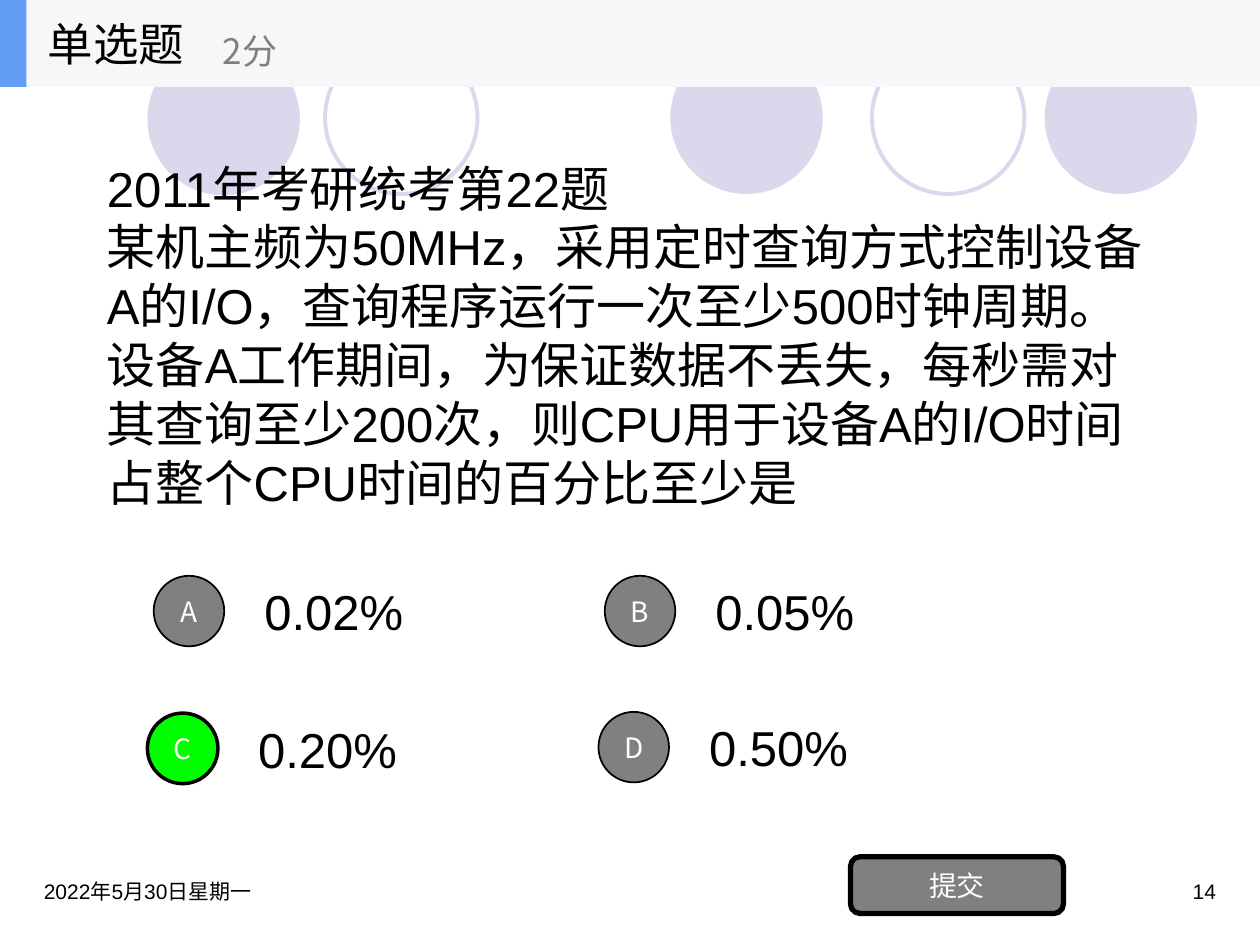
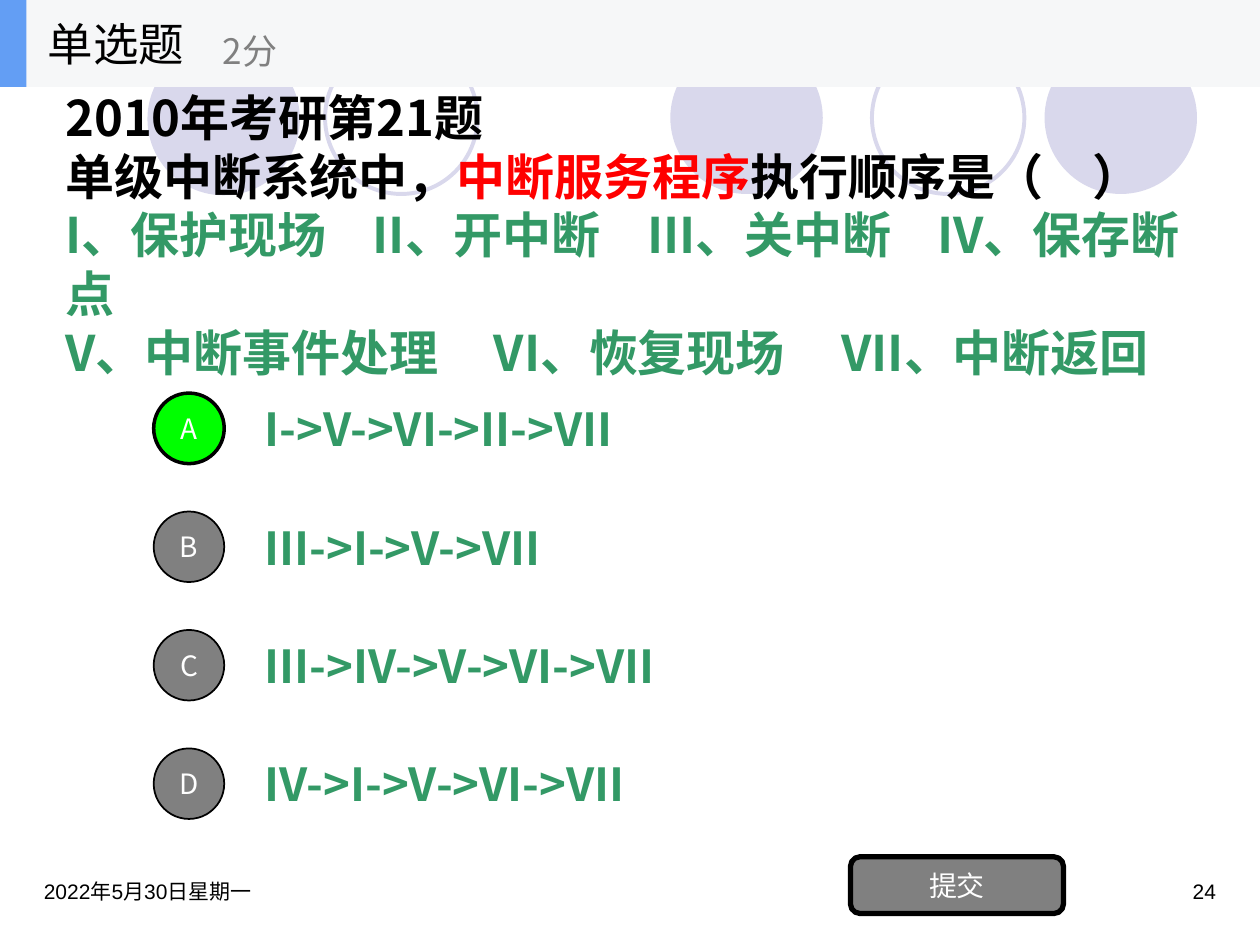
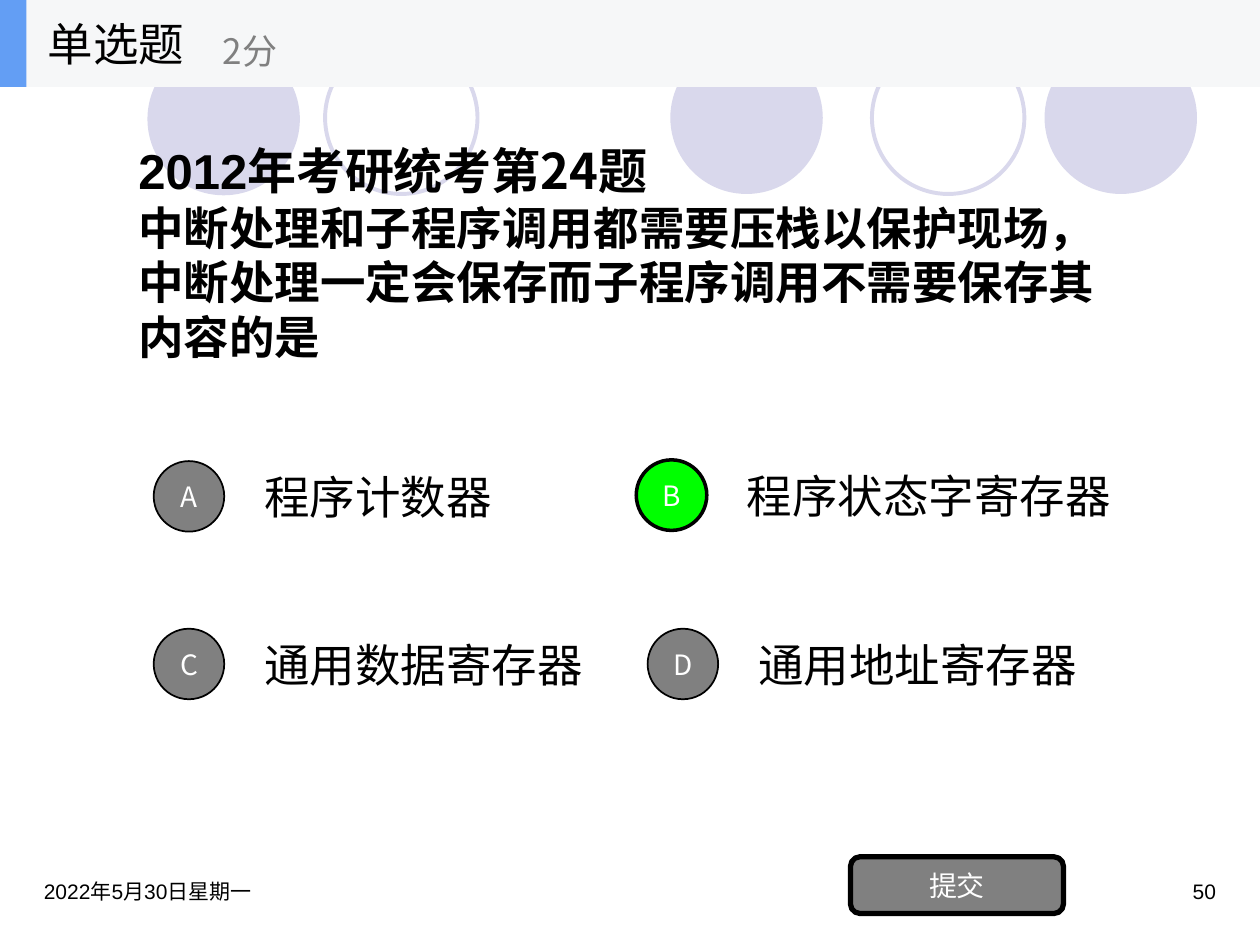
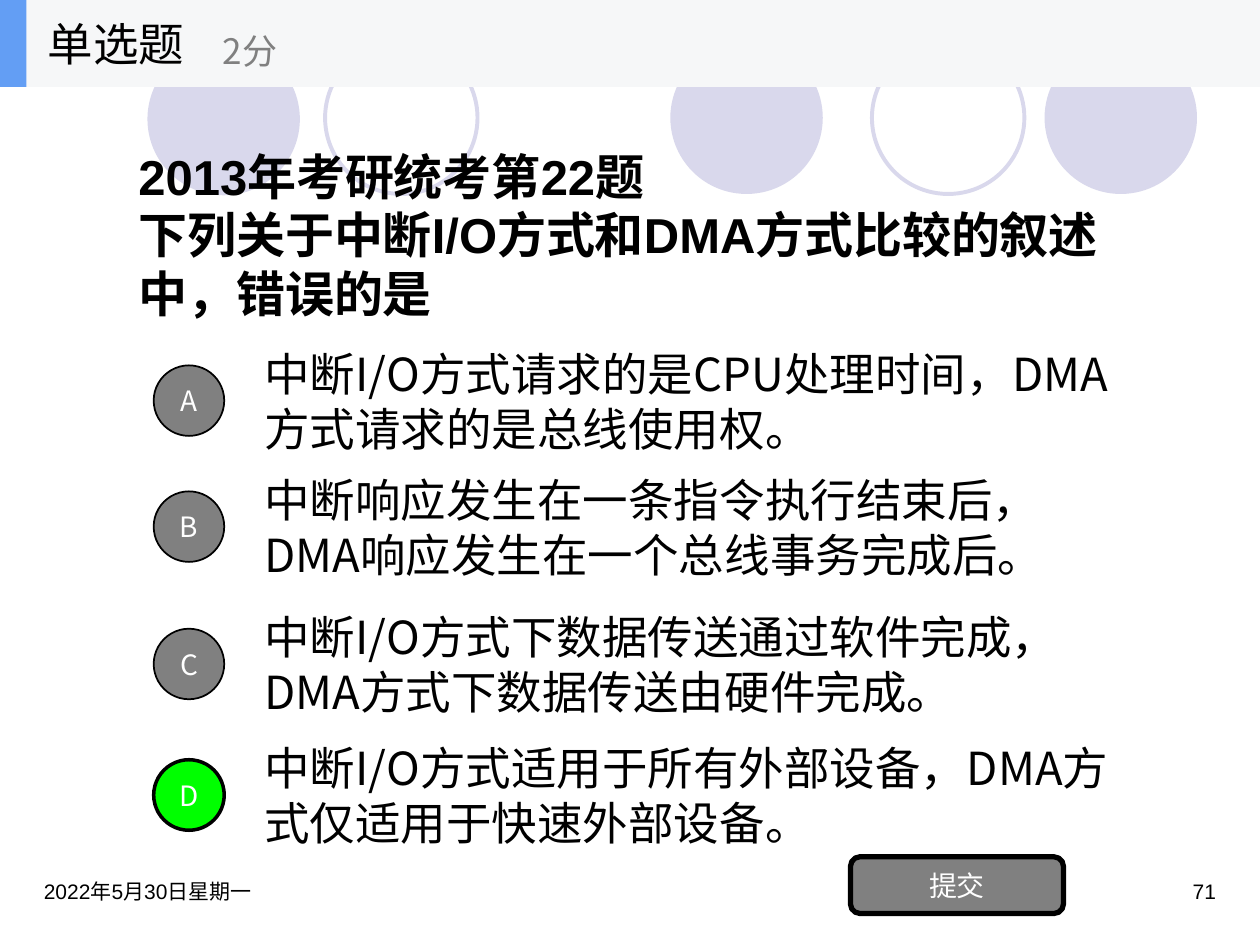
from dataclasses import dataclass
from typing import NamedTuple

from lxml.etree import SubElement
from pptx import Presentation
from pptx.dml.color import RGBColor
from pptx.enum.shapes import MSO_SHAPE as Preset
from pptx.enum.text import MSO_ANCHOR as Anchor, PP_ALIGN as Align
from pptx.oxml.ns import qn
from pptx.util import Inches, Pt

COLORS = {
    "ink": "000000", "white": "FFFFFF", "gray": "808080", "lilac": "D9D8EC",
    "band": "F6F7F8", "accent": "639EF4", "correct": "00FF00",
    "red": "FF0000", "green": "339966",
}
ARIAL = "Arial"
NOTO = "Noto Sans CJK SC"
MARKER_SIZE = 0.56
MARKER_SHIFT = (-0.78, 0.07)  # marker corner relative to its answer box
DATE = "2022年5月30日星期一"


class Box(NamedTuple):
    left: float
    top: float
    width: float
    height: float

    def emu(self) -> list:
        return [Inches(length) for length in self]


class Run(NamedTuple):
    text: str
    size: float = 28
    font: str = ARIAL
    color: str = "ink"
    bold: bool = False


class Para(NamedTuple):
    runs: list
    tabs: tuple = ()


class Ring(NamedTuple):
    left: float
    top: float
    filled: bool


class Answer(NamedTuple):
    left: float
    top: float
    text: str
    width: float = 7


@dataclass
class Question:
    number: int
    box: Box
    stem: list
    answers: list
    correct: str
    answer_format: dict


RINGS = [Ring(5.32, 0.33, True), Ring(8.29, 0.33, True), Ring(1.17, 0.34, True),
         Ring(6.92, 0.33, False), Ring(2.58, 0.33, False)]

NOTO_26 = {"size": 26, "font": NOTO}
BOLD_NOTO = {"font": NOTO, "bold": True}
GREEN_NOTO = {**BOLD_NOTO, "color": "green"}


# Drawing helpers
def rgb(name: str) -> RGBColor:
    return RGBColor.from_string(COLORS[name])


def write(shape, paras: list, anchor=Anchor.MIDDLE, align=Align.LEFT) -> None:
    frame = shape.text_frame
    frame.word_wrap = True
    frame.vertical_anchor = anchor
    for index, para in enumerate(paras):
        line = frame.add_paragraph() if index else frame.paragraphs[0]
        line.alignment = align
        if para.tabs:
            stops = SubElement(line._p.get_or_add_pPr(), qn("a:tabLst"))
            for position in para.tabs:
                SubElement(stops, qn("a:tab"), pos=str(Inches(position)), algn="l")
        for part in para.runs:
            run = line.add_run()
            run.text = part.text
            formats = {"size": Pt(part.size), "name": part.font, "bold": part.bold}
            for name, value in formats.items():
                setattr(run.font, name, value)
            run.font.color.rgb = rgb(part.color)
            SubElement(run.font._element, qn("a:ea"), typeface=NOTO)


def add_text(shapes, box: Box, paras: list, **layout) -> None:
    write(shapes.add_textbox(*box.emu()), paras, **layout)


def add_preset(shapes, preset, box: Box, fill: str = "", line: str = "",
               line_width: float = 0):
    shape = shapes.add_shape(preset, *box.emu())
    shape.shadow.inherit = False
    if fill:
        shape.fill.solid()
        shape.fill.fore_color.rgb = rgb(fill)
    else:
        shape.fill.background()
    if line:
        shape.line.color.rgb = rgb(line)
        shape.line.width = Pt(line_width)
    else:
        shape.line.fill.background()
    return shape


def add_button(shapes, preset, box: Box, label: str, fill: str,
               line_width: float) -> None:
    button = add_preset(shapes, preset, box, fill, "ink", line_width)
    for side in ("left", "right", "top", "bottom"):
        setattr(button.text_frame, f"margin_{side}", 0)
    write(button, [Para([Run(label, 16, NOTO, "white")])], align=Align.CENTER)


# Parts shared by all slides
def add_rings(slide) -> None:
    shapes = slide.shapes.add_group_shape().shapes
    for ring in RINGS:
        style = {"fill": "lilac"} if ring.filled else {"line": "lilac", "line_width": 2.25}
        add_preset(shapes, Preset.OVAL, Box(ring.left, ring.top, 1.21, 1.21), **style)


def add_footer(slide, number: int) -> None:
    for left, text, align in ((0.25, DATE, Align.LEFT), (7.42, str(number), Align.RIGHT)):
        add_text(slide.shapes, Box(left, 6.92, 2.33, 0.5), [Para([Run(text, 12)])],
                 anchor=Anchor.TOP, align=align)


def add_header(slide) -> None:
    shapes = slide.shapes.add_group_shape().shapes
    add_preset(shapes, Preset.RECTANGLE, Box(0, 0, 10, 0.69), "band")
    add_preset(shapes, Preset.RECTANGLE, Box(0, 0, 0.21, 0.69), "accent")
    add_text(shapes, Box(0.28, 0, 2.08, 0.69), [Para([Run("单选题", **NOTO_26)])])
    add_text(shapes, Box(1.67, 0.12, 2.5, 0.56), [Para([Run("2分", 20, NOTO, "gray")])])


def add_answers(slide, question: Question) -> None:
    for answer in question.answers:
        add_text(slide.shapes, Box(answer.left, answer.top, answer.width, 0.7),
                 [Para([Run(answer.text, **question.answer_format)])])
    dx, dy = MARKER_SHIFT
    for letter, answer in zip("ABCD", question.answers):
        fill, width = ("correct", 2) if letter == question.correct else ("gray", 1)
        box = Box(answer.left + dx, answer.top + dy, MARKER_SIZE, MARKER_SIZE)
        add_button(slide.shapes, Preset.OVAL, box, letter, fill, width)


def add_question(prs, question: Question) -> None:
    slide = prs.slides.add_slide(prs.slide_layouts[6])
    add_rings(slide)
    add_footer(slide, question.number)
    add_text(slide.shapes, question.box, question.stem)
    add_answers(slide, question)
    add_button(slide.shapes, Preset.ROUNDED_RECTANGLE, Box(6.75, 6.8, 1.69, 0.45),
               "提交", "gray", 3)
    add_header(slide)


# Content
QUESTIONS = [
    Question(
        14, Box(0.75, 1, 8.58, 3.31),
        [Para([Run("2011年考研统考第22题")]),
         Para([Run("某机主频为50MHz，采用定时查询方式控制设备A的I/O，"
                   "查询程序运行一次至少500时钟周期。设备A工作期间，"
                   "为保证数据不丢失，每秒需对其查询至少200次，"
                   "则CPU用于设备A的I/O时间占整个CPU时间的百分比至少是")])],
        [Answer(2, 4.5, "0.02%", 2.75), Answer(5.58, 4.5, "0.05%", 2.75),
         Answer(1.95, 5.59, "0.20%", 2.75), Answer(5.53, 5.58, "0.50%", 2.75)],
        "C", {"size": 28}),
    Question(
        24, Box(0.42, 0.69, 9.25, 2.34),
        [Para([Run("2010年考研第21题", **BOLD_NOTO)]),
         Para([Run("单级中断系统中，", **BOLD_NOTO),
               Run("中断服务程序", color="red", **BOLD_NOTO),
               Run("执行顺序是（　）", **BOLD_NOTO)]),
         Para([Run("I、保护现场\tII、开中断\tIII、关中断\tIV、保存断点", **GREEN_NOTO)],
              (2.44, 4.62, 6.92)),
         Para([Run("V、中断事件处理\tVI、恢复现场\tVII、中断返回", **GREEN_NOTO)],
              (3.4, 6.16))],
        [Answer(2, 3.05 + 0.94 * row, order) for row, order in enumerate(
            ("I->V->VI->II->VII", "III->I->V->VII",
             "III->IV->V->VI->VII", "IV->I->V->VI->VII"))],
        "A", {**GREEN_NOTO, "size": 26}),
    Question(
        50, Box(1, 0.83, 8, 2.34),
        [Para([Run("2012年考研统考第", bold=True), Run("24", **BOLD_NOTO),
               Run("题", bold=True)]),
         Para([Run("中断处理和子程序调用都需要压栈以保护现场，"
                   "中断处理一定会保存而子程序调用不需要保存其内容的是",
                   bold=True, **NOTO_26)])],
        [Answer(2, 3.59, "程序计数器", 3.5), Answer(5.83, 3.58, "程序状态字寄存器", 3.5),
         Answer(2, 4.92, "通用数据寄存器", 3.58), Answer(5.92, 4.92, "通用地址寄存器", 3.5)],
        "B", NOTO_26),
    Question(
        71, Box(1, 0.69, 8, 2.34),
        [Para([Run("2013年考研统考第22题", bold=True)]),
         Para([Run("下列关于中断I/O方式和DMA方式比较的叙述中，错误的是", bold=True)])],
        [Answer(2, 2.83, "中断I/O方式请求的是CPU处理时间，DMA方式请求的是总线使用权。"),
         Answer(2, 3.83, "中断响应发生在一条指令执行结束后，DMA响应发生在一个总线事务完成后。"),
         Answer(2, 4.92, "中断I/O方式下数据传送通过软件完成，DMA方式下数据传送由硬件完成。"),
         Answer(2, 5.96, "中断I/O方式适用于所有外部设备，DMA方式仅适用于快速外部设备。")],
        "D", NOTO_26),
]


def main() -> None:
    prs = Presentation()
    prs.slide_width, prs.slide_height = Inches(10), Inches(7.5)
    for question in QUESTIONS:
        add_question(prs, question)
    prs.save("out.pptx")


if __name__ == "__main__":
    main()
